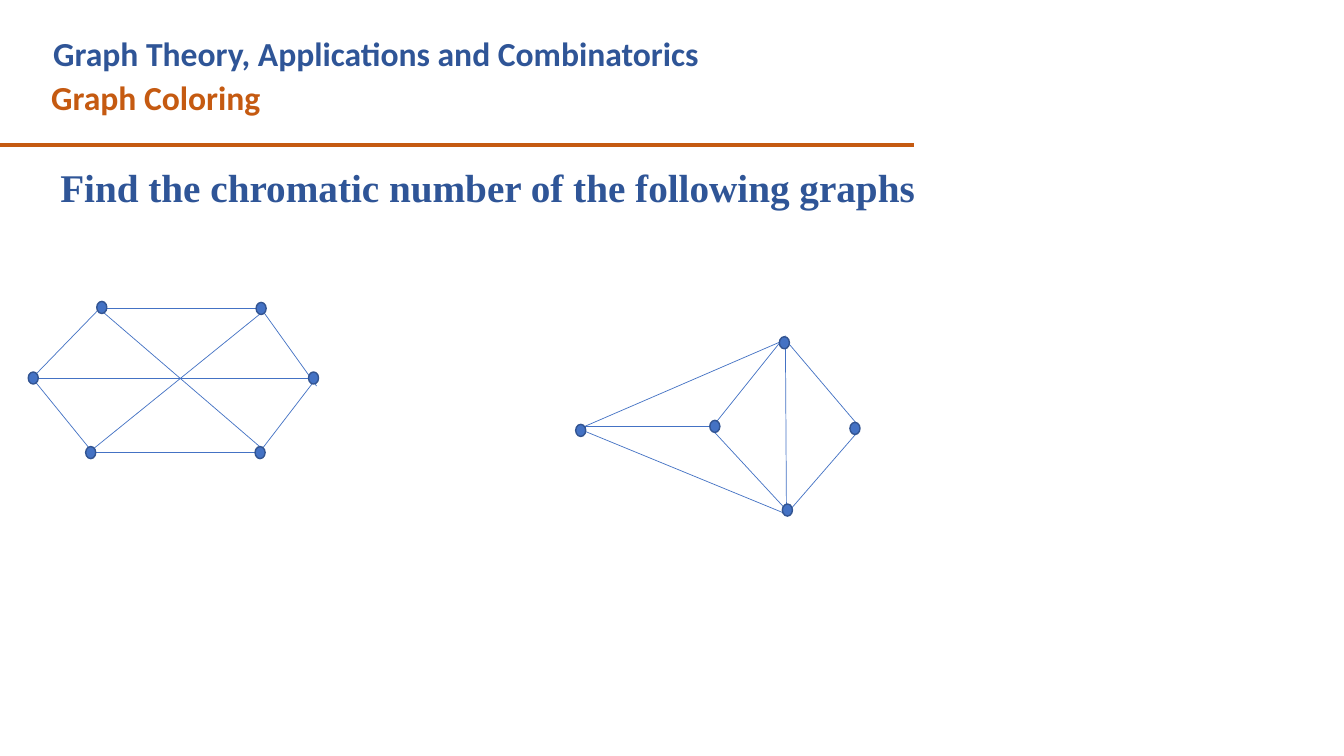
import pptx
import pptx.util
import pptx.dml.color
import pptx.enum.shapes
import pptx.enum.text
from lxml import etree

Inches = pptx.util.Inches
Pt = pptx.util.Pt

COLORS = {
    "orange": "C55A11",
    "navy": "2F5597",
    "blue": "4472C4",
    "outline": "325491",
}

TOPIC = ("Graph Coloring", (0.41, 0.71, 8.75, 0.5), "Calibri", 24, "orange")
COURSE = ("Graph Theory, Applications and Combinatorics",
          (0.43, 0.28, 8.2, 0.5), "Calibri", 24, "navy")
QUESTION = ("Find the chromatic number of the following graphs",
            (0.5, 1.62, 11.56, 0.65), "Times New Roman", 28, "navy")
HEADER_RULE = ((-0.01, 1.44), (9.07, 1.44))

VERTEX_SIZE = (0.1, 0.12)
HEXAGON_GRAPH = {
    "edges": [
        ((0.98, 3.06), (2.61, 3.06)),
        ((0.96, 3.09), (0.32, 3.75)),
        ((2.61, 3.09), (3.14, 3.83)),
        ((0.32, 3.75), (0.88, 4.44)),
        ((0.84, 4.49), (2.61, 4.49)),
        ((2.61, 4.44), (3.14, 3.75)),
        ((0.32, 3.75), (3.14, 3.75)),
        ((0.98, 3.06), (2.61, 4.46)),
        ((0.88, 4.49), (2.61, 3.09)),
    ],
    "vertices": [(0.96, 2.99), (0.28, 3.69), (2.54, 3.0),
                 (3.06, 3.69), (0.85, 4.43), (2.53, 4.43)],
}
KITE_GRAPH = {
    "edges": [
        ((5.8, 4.23), (7.07, 4.23)),
        ((7.07, 4.23), (7.79, 3.33)),
        ((7.79, 3.37), (8.52, 4.23)),
        ((7.07, 4.27), (7.8, 5.06)),
        ((7.8, 5.1), (8.52, 4.27)),
        ((7.79, 3.37), (7.8, 5.06)),
        ((7.79, 3.37), (5.8, 4.23)),
        ((5.78, 4.27), (7.8, 5.1)),
    ],
    "vertices": [(5.71, 4.21), (7.73, 3.34), (7.04, 4.17),
                 (8.43, 4.19), (7.76, 5.0)],
}


def rgb(name):
    return pptx.dml.color.RGBColor.from_string(COLORS[name])


def add_text(shapes, text, box, font, size, color):
    heading = shapes.add_textbox(*map(Inches, box))
    heading.text_frame.word_wrap = True
    paragraph = heading.text_frame.paragraphs[0]
    paragraph.text = text
    run_font = paragraph.runs[0].font
    run_font.name = font
    run_font.size = Pt(size)
    run_font.bold = True
    run_font.color.rgb = rgb(color)
    return paragraph


def add_line(shapes, start, end, color, width):
    line = shapes.add_connector(pptx.enum.shapes.MSO_CONNECTOR.STRAIGHT,
                                *map(Inches, start + end))
    line.line.color.rgb = rgb(color)
    line.line.width = Pt(width)
    properties = line._element.spPr
    etree.SubElement(properties, pptx.oxml.ns.qn("a:effectLst"))


def add_graph(shapes, graph):
    group = shapes.add_group_shape()
    for start, end in graph["edges"]:
        add_line(group.shapes, start, end, "blue", 0.5)
    for corner in graph["vertices"]:
        vertex = group.shapes.add_shape(pptx.enum.shapes.MSO_SHAPE.OVAL,
                                        *map(Inches, corner + VERTEX_SIZE))
        vertex.shadow.inherit = False
        vertex.fill.solid()
        vertex.fill.fore_color.rgb = rgb("blue")
        vertex.line.color.rgb = rgb("outline")
        vertex.line.width = Pt(1)


def main():
    deck = pptx.Presentation()
    deck.slide_width = Inches(13.33)
    deck.slide_height = Inches(7.5)
    shapes = deck.slides.add_slide(deck.slide_layouts[6]).shapes

    add_text(shapes, *TOPIC)
    add_line(shapes, *HEADER_RULE, "orange", 3)
    add_text(shapes, *COURSE)
    question = add_text(shapes, *QUESTION)
    question.alignment = pptx.enum.text.PP_ALIGN.JUSTIFY
    question.line_spacing = 0.9

    for graph in (HEXAGON_GRAPH, KITE_GRAPH):
        add_graph(shapes, graph)

    deck.save("out.pptx")


if __name__ == "__main__":
    main()
